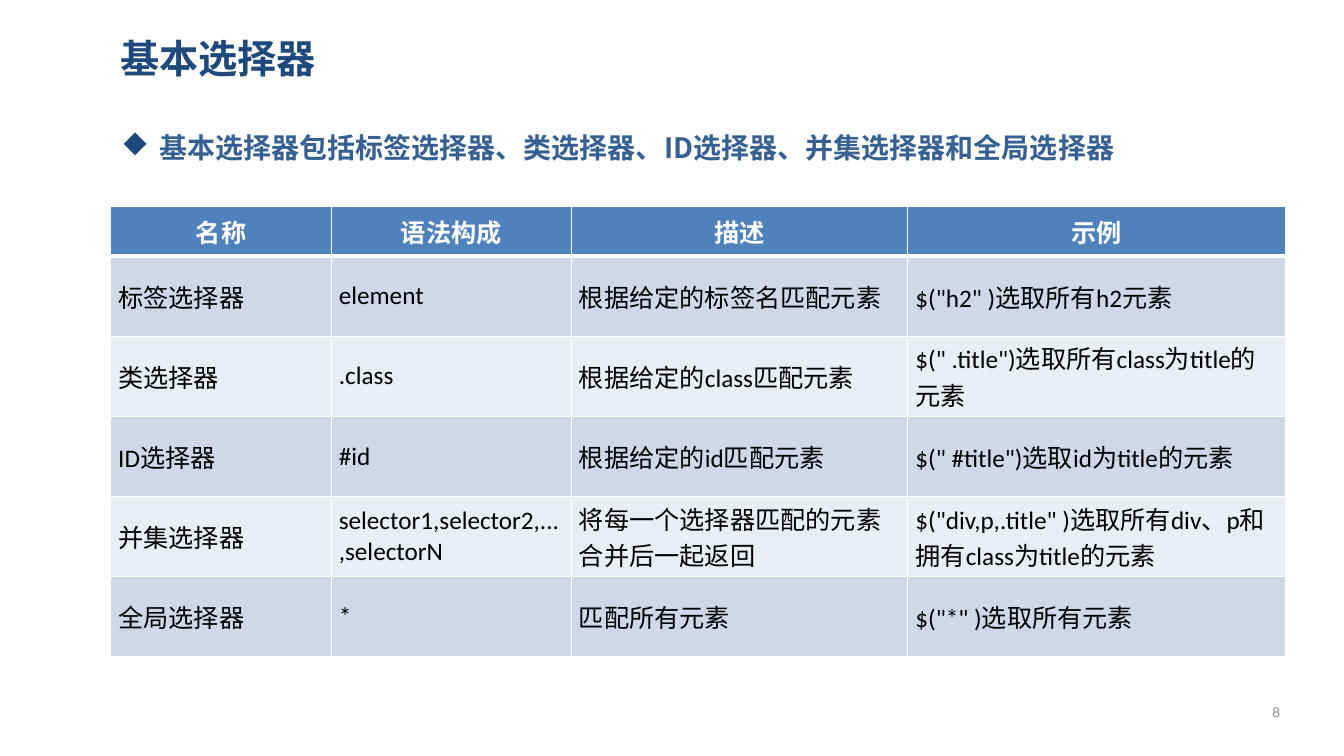
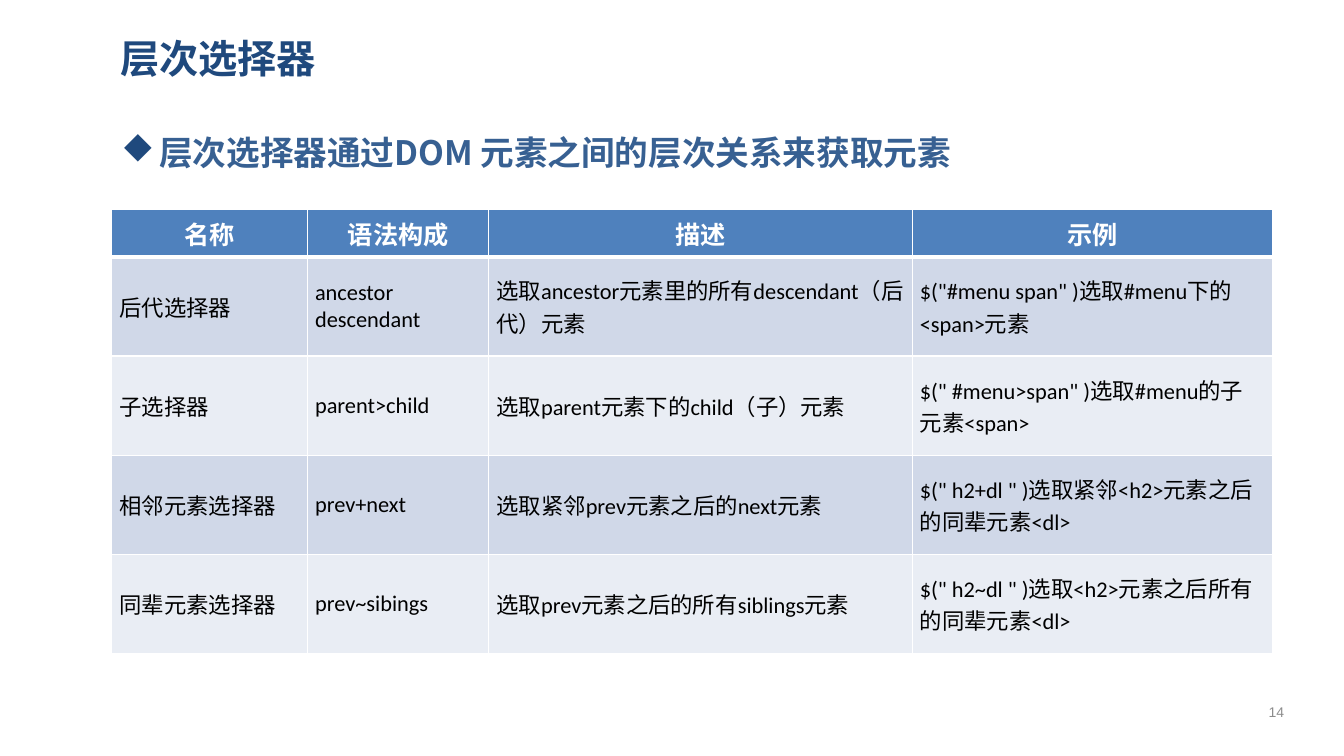
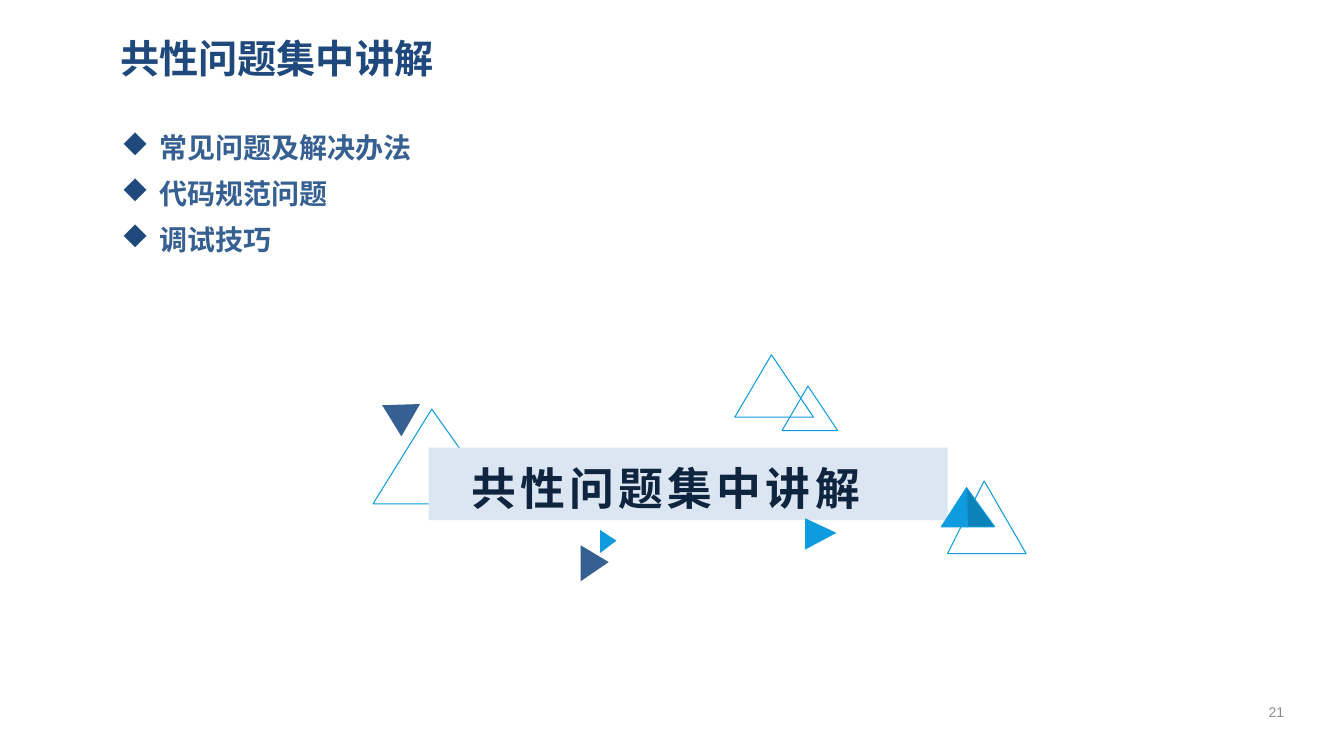
from dataclasses import dataclass
from typing import Optional

from lxml import etree
from pptx import Presentation
from pptx.dml.color import RGBColor
from pptx.enum.shapes import MSO_SHAPE
from pptx.enum.text import MSO_ANCHOR, MSO_AUTO_SIZE, PP_ALIGN
from pptx.oxml.ns import qn
from pptx.util import Cm, Pt

TRIANGLE, RECTANGLE = MSO_SHAPE.ISOSCELES_TRIANGLE, MSO_SHAPE.RECTANGLE
TOP, MIDDLE = MSO_ANCHOR.TOP, MSO_ANCHOR.MIDDLE
LEFT, CENTER = PP_ALIGN.LEFT, PP_ALIGN.CENTER
NO_AUTOFIT = MSO_AUTO_SIZE.NONE


# Theme: colours, fonts and type sizes
@dataclass(frozen=True)
class Theme:
    navy: str = "1F497D"
    steel: str = "376092"
    header: str = "4F81BD"
    bands: tuple[str, str] = ("D0D8E8", "E9EDF4")
    white: str = "FFFFFF"
    black: str = "000000"
    gray: str = "8C8C8C"
    sky: str = "0E9CDE"
    deep_sky: str = "0C83B8"
    banner: str = "DCE6F2"
    ink: str = "0F243E"
    cjk: str = "Noto Sans CJK SC"
    table_font: str = "Calibri"
    number_font: str = "Arial"
    title_size: int = 28
    list_size: int = 20
    large_list_size: int = 24
    header_size: int = 18
    small_cell_size: int = 16
    banner_size: int = 32
    number_size: int = 10


THEME = Theme()


@dataclass(frozen=True)
class Box:
    """Left, top, width and height in centimetres."""
    x: float
    y: float
    w: float
    h: float

    def emu(self) -> tuple:
        return Cm(self.x), Cm(self.y), Cm(self.w), Cm(self.h)


@dataclass(frozen=True)
class TextStyle:
    size: int
    color: str
    font: str = THEME.cjk
    bold: bool = False
    spacing: float = 0


@dataclass(frozen=True)
class SelectorTable:
    left: float
    top: float
    columns: tuple[float, ...]
    header_height: float
    row_height: float
    size: int
    rows: tuple[tuple[str, ...], ...]


@dataclass(frozen=True)
class Triangle:
    box: Box
    rotation: int = 0
    fill: Optional[str] = None  # outline only when empty


@dataclass(frozen=True)
class Page:
    number: int
    title: str
    points: tuple[str, ...]
    point_size: int = THEME.list_size
    table: Optional[SelectorTable] = None
    banner: Optional[str] = None


TITLE_BOX = Box(2.79, 0.61, 29.59, 1.7)
LIST_BOX = Box(2.82, 3.02, 29.59, 14.43)
NUMBER_BOX = Box(31.34, 17.42, 1.65, 1.02)
BANNER_BOX = Box(10.8, 11.28, 13.08, 1.83)
HEADINGS = ("名称", "语法构成", "描述", "示例")

# Banner decoration, behind and in front of the band
BACK_TRIANGLES = (
    Triangle(Box(9.4, 10.31, 3.18, 2.39)),
    Triangle(Box(23.88, 12.12, 1.98, 1.83)),
    Triangle(Box(15.04, 13.44, 0.58, 0.41), 90, THEME.sky),
    Triangle(Box(9.53, 9.98, 0.94, 0.81), 300, THEME.steel),
)
FRONT_TRIANGLES = (
    Triangle(Box(19.71, 9.73, 1.4, 1.12)),
    Triangle(Box(18.52, 8.94, 1.98, 1.57)),
    Triangle(Box(14.53, 13.84, 0.91, 0.71), 90, THEME.steel),
    Triangle(Box(20.29, 13.06, 0.79, 0.79), 90, THEME.sky),
)
PYRAMID_PEAK, PYRAMID_FOOT = (24.36, 12.29), (24.38, 13.28)
PYRAMID_FACES = (((23.72, 13.28), THEME.sky), ((25.07, 13.28), THEME.deep_sky))

PAGES = (
    Page(
        8, "基本选择器",
        ("基本选择器包括标签选择器、类选择器、ID选择器、并集选择器和全局选择器",),
        table=SelectorTable(
            2.79, 5.21, (5.56, 6.05, 8.48, 9.53), 1.24, 2.02, 18,
            (
                ("标签选择器", "element", "根据给定的标签名匹配元素",
                 '$("h2" )选取所有h2元素'),
                ("类选择器", ".class", "根据给定的class匹配元素",
                 '$(" .title")选取所有class为title的元素'),
                ("ID选择器", "#id", "根据给定的id匹配元素",
                 '$(" #title")选取id为title的元素'),
                ("并集选择器", "selector1,selector2,...,selectorN",
                 "将每一个选择器匹配的元素合并后一起返回",
                 '$("div,p,.title" )选取所有div、p和拥有class为title的元素'),
                ("全局选择器", "*", "匹配所有元素", '$("*" )选取所有元素'),
            ),
        ),
    ),
    Page(
        14, "层次选择器",
        ("层次选择器通过DOM 元素之间的层次关系来获取元素",),
        point_size=THEME.large_list_size,
        table=SelectorTable(
            2.82, 5.28, (4.93, 4.57, 10.67, 9.07), 1.19, 2.5,
            THEME.small_cell_size,
            (
                ("后代选择器", "ancestor descendant",
                 "选取ancestor元素里的所有descendant（后代）元素",
                 '$("#menu span" )选取#menu下的<span>元素'),
                ("子选择器", "parent>child", "选取parent元素下的child（子）元素",
                 '$(" #menu>span" )选取#menu的子元素<span>'),
                ("相邻元素选择器", "prev+next", "选取紧邻prev元素之后的next元素",
                 '$(" h2+dl " )选取紧邻<h2>元素之后的同辈元素<dl>'),
                ("同辈元素选择器", "prev~sibings",
                 "选取prev元素之后的所有siblings元素",
                 '$(" h2~dl " )选取<h2>元素之后所有的同辈元素<dl>'),
            ),
        ),
    ),
    Page(
        21, "共性问题集中讲解",
        ("常见问题及解决办法", "代码规范问题", "调试技巧"),
        banner="共性问题集中讲解",
    ),
)


# Text helpers
def rgb(color: str) -> RGBColor:
    return RGBColor.from_string(color)


def style_text(frame, style: TextStyle, align=LEFT) -> None:
    for paragraph in frame.paragraphs:
        paragraph.alignment = align
        for run in paragraph.runs:
            font = run.font
            font.size, font.bold, font.name = Pt(style.size), style.bold, style.font
            font.color.rgb = rgb(style.color)
            properties = font._element
            etree.SubElement(properties, qn("a:ea")).set("typeface", THEME.cjk)
            if style.spacing:
                properties.set("spc", str(int(style.spacing * 100)))


def fill_frame(shape, text: str, style: TextStyle, anchor, align=LEFT) -> None:
    frame = shape.text_frame
    frame.text = text
    frame.word_wrap = True
    frame.auto_size = NO_AUTOFIT
    frame.vertical_anchor = anchor
    frame.margin_left = frame.margin_right = Cm(0.24)
    frame.margin_top = frame.margin_bottom = Cm(0.11)
    style_text(frame, style, align)


def place(shape, box: Box) -> None:
    shape.left, shape.top, shape.width, shape.height = box.emu()


def add_diamond(paragraph) -> None:
    properties = paragraph._p.get_or_add_pPr()
    color = etree.SubElement(properties, qn("a:buClr"))
    etree.SubElement(color, qn("a:srgbClr")).set("val", THEME.navy)
    etree.SubElement(properties, qn("a:buFont")).set("typeface", "Wingdings")
    etree.SubElement(properties, qn("a:buChar")).set("char", "u")  # ◆


# Parts shared by every slide
def draw_frame(slide, page: Page) -> None:
    title, points = slide.shapes.title, slide.placeholders[1]
    place(title, TITLE_BOX)
    fill_frame(title, page.title,
               TextStyle(THEME.title_size, THEME.navy, bold=True), MIDDLE)

    place(points, LIST_BOX)
    fill_frame(points, "\n".join(page.points),
               TextStyle(page.point_size, THEME.steel, bold=True), TOP)
    for paragraph in points.text_frame.paragraphs:
        paragraph.line_spacing = 1.2
        add_diamond(paragraph)

    number = slide.shapes.add_textbox(*NUMBER_BOX.emu())
    fill_frame(number, str(page.number),
               TextStyle(THEME.number_size, THEME.gray, THEME.number_font),
               MIDDLE, CENTER)


# Selector tables
def set_borders(cell, top: float, bottom: float) -> None:
    properties = cell._tc.get_or_add_tcPr()
    widths = {"a:lnL": 1, "a:lnR": 1, "a:lnT": top, "a:lnB": bottom}
    for position, (side, width) in enumerate(widths.items()):
        line = etree.Element(qn(side))
        line.set("w", str(Pt(width)))
        fill = etree.SubElement(line, qn("a:solidFill"))
        etree.SubElement(fill, qn("a:srgbClr")).set("val", THEME.white)
        properties.insert(position, line)


def draw_table(slide, spec: SelectorTable) -> None:
    body_count = len(spec.rows)
    box = Box(spec.left, spec.top, sum(spec.columns),
              spec.header_height + body_count * spec.row_height)
    table = slide.shapes.add_table(
        body_count + 1, len(spec.columns), *box.emu()).table
    for column, width in zip(table.columns, spec.columns):
        column.width = Cm(width)

    header_style = TextStyle(THEME.header_size, THEME.white,
                             THEME.table_font, bold=True)
    body_style = TextStyle(spec.size, THEME.black, THEME.table_font)
    for r, texts in enumerate((HEADINGS, *spec.rows)):
        is_header = r == 0
        style = header_style if is_header else body_style
        table.rows[r].height = Cm(
            spec.header_height if is_header else spec.row_height)
        for c, text in enumerate(texts):
            cell = table.cell(r, c)
            cell.text_frame.text = text
            cell.vertical_anchor = MIDDLE
            cell.margin_left = cell.margin_right = Cm(0.19)
            cell.margin_top = cell.margin_bottom = 0
            style_text(cell.text_frame, style, CENTER if is_header else LEFT)
            cell.text_frame.paragraphs[0].space_before = Pt(style.size * 0.2)
            cell.fill.solid()
            cell.fill.fore_color.rgb = rgb(
                THEME.header if is_header else THEME.bands[(r - 1) % 2])
            set_borders(cell, top=3 if r == 1 else 1,
                        bottom=3 if is_header else 1)


# Banner with triangles
def paint(shape, fill: Optional[str], line: Optional[str]) -> None:
    shape.shadow.inherit = False
    if fill:
        shape.fill.solid()
        shape.fill.fore_color.rgb = rgb(fill)
    else:
        shape.fill.background()
    if line:
        shape.line.color.rgb = rgb(line)
        shape.line.width = Pt(0.75)
    else:
        shape.line.fill.background()


def draw_triangles(shapes, triangles: tuple[Triangle, ...]) -> None:
    for spec in triangles:
        triangle = shapes.add_shape(TRIANGLE, *spec.box.emu())
        triangle.adjustments[0] = 0.466
        triangle.rotation = spec.rotation
        paint(triangle, spec.fill, None if spec.fill else THEME.sky)


def draw_banner(slide, text: str) -> None:
    shapes = slide.shapes.add_group_shape().shapes
    draw_triangles(shapes, BACK_TRIANGLES)

    band = shapes.add_shape(RECTANGLE, *BANNER_BOX.emu())
    paint(band, THEME.banner, None)
    fill_frame(band, text, TextStyle(THEME.banner_size, THEME.ink,
                                     bold=True, spacing=3), TOP, CENTER)
    band.text_frame.margin_top = Cm(0.33)
    band.text_frame.margin_right = Cm(1.35)

    draw_triangles(shapes, FRONT_TRIANGLES)
    for corner, color in PYRAMID_FACES:
        builder = shapes.build_freeform(Cm(corner[0]), Cm(corner[1]))
        builder.add_line_segments(
            [(Cm(x), Cm(y)) for x, y in (PYRAMID_PEAK, PYRAMID_FOOT)])
        paint(builder.convert_to_shape(), color, THEME.sky)


def main() -> None:
    deck = Presentation()
    deck.slide_width, deck.slide_height = Cm(33.87), Cm(19.05)
    layout = deck.slide_layouts[1]
    for page in PAGES:
        slide = deck.slides.add_slide(layout)
        draw_frame(slide, page)
        if page.table:
            draw_table(slide, page.table)
        if page.banner:
            draw_banner(slide, page.banner)
    deck.save("out.pptx")


if __name__ == "__main__":
    main()
